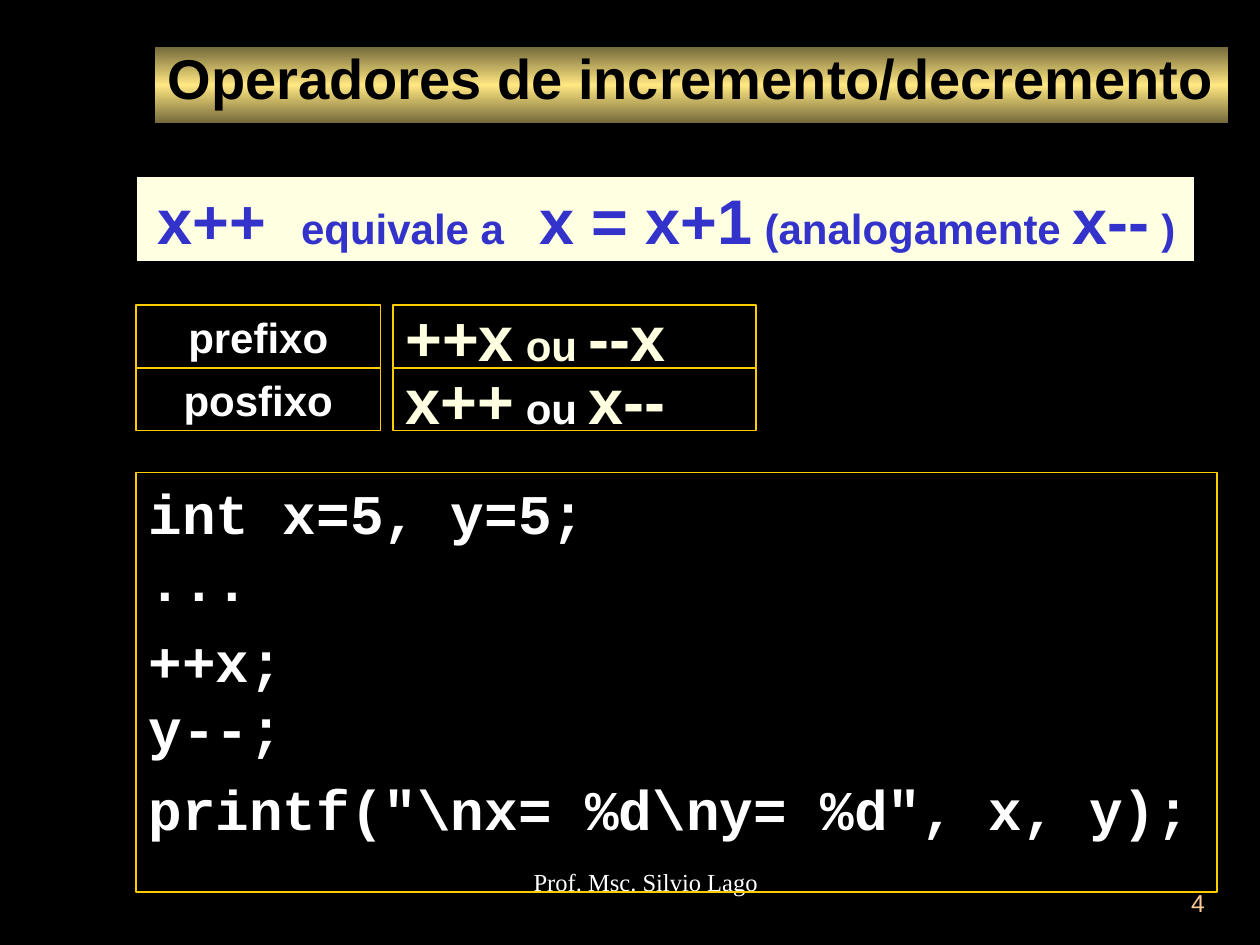
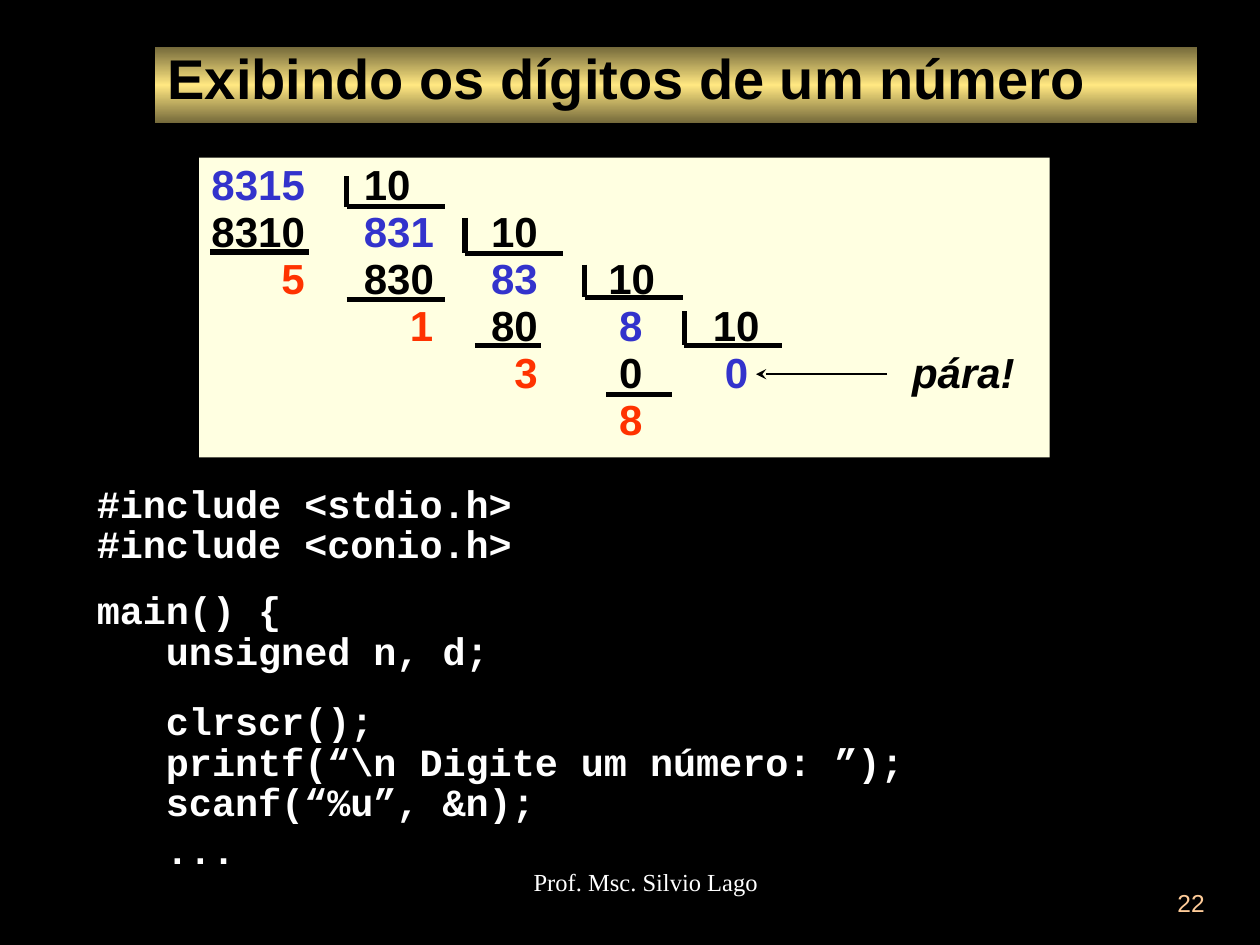
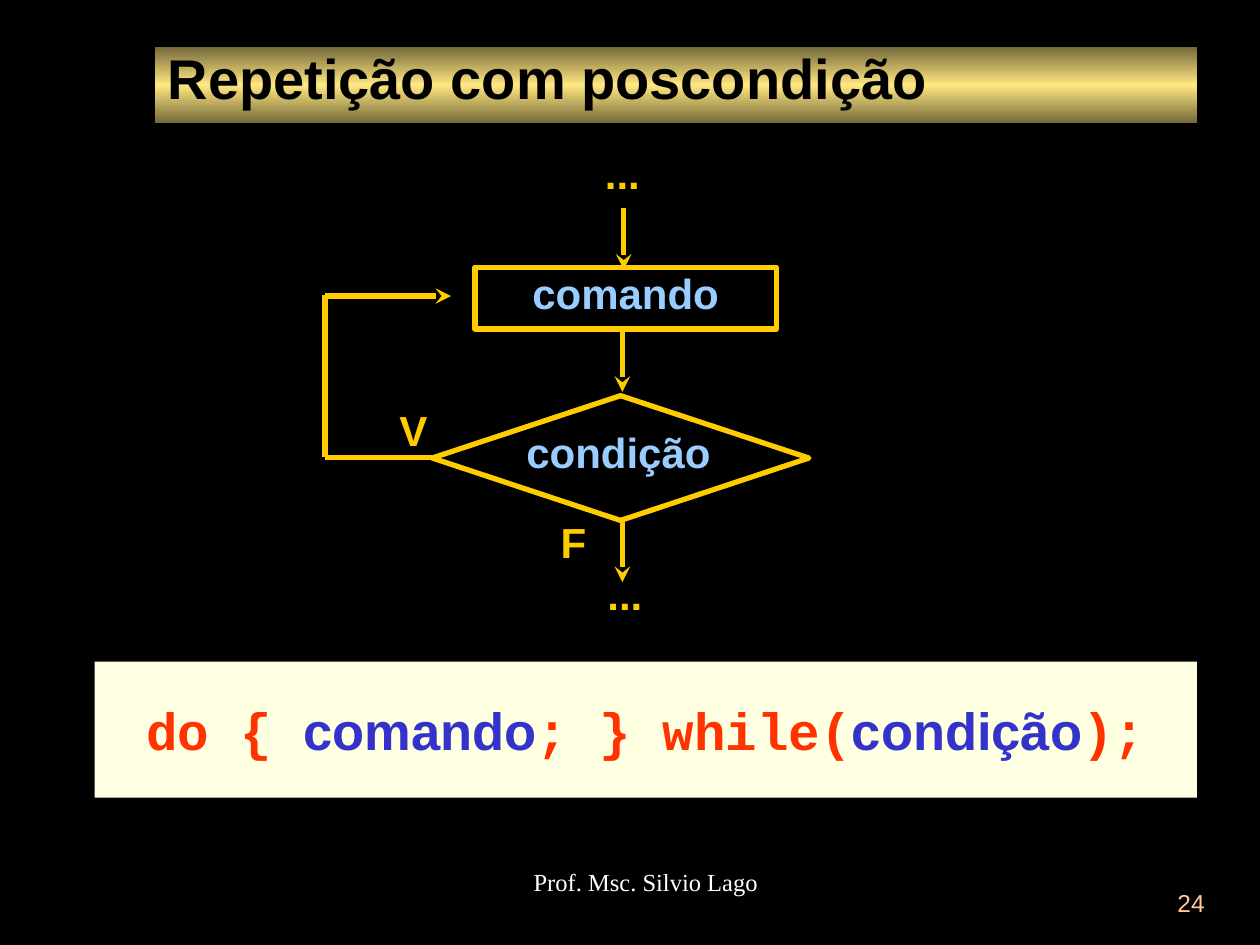
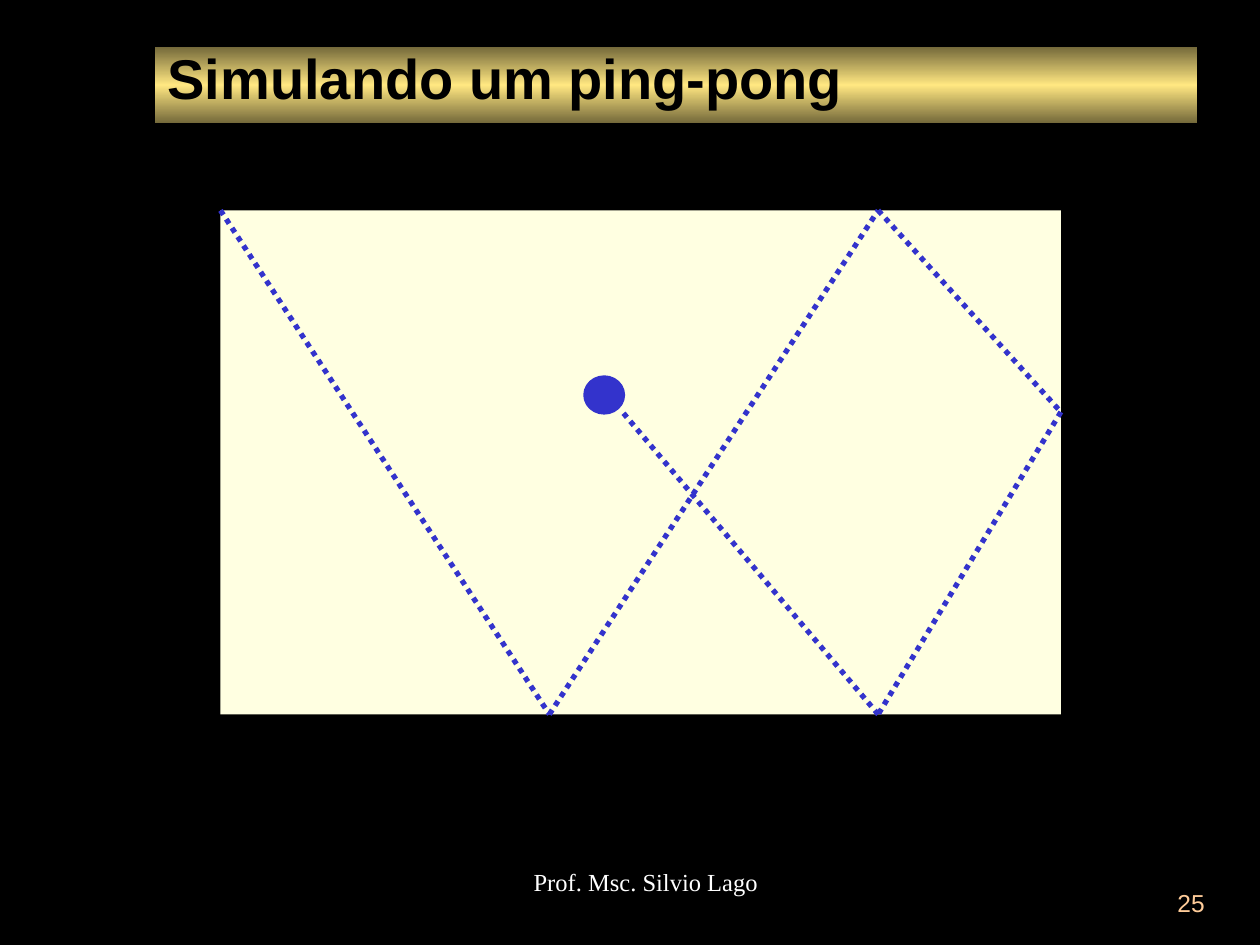
from collections import namedtuple
from copy import deepcopy
from itertools import pairwise

from lxml import etree
from pptx import Presentation
from pptx import util as u
from pptx.dml.color import RGBColor
from pptx.enum import dml, shapes, text
from pptx.oxml import ns

BLACK, WHITE, CREAM = "000000", "FFFFFF", "FFFFE1"
BLUE, RED, GOLD, SKY, PEACH = "3333CC", "FF3300", "FFCC00", "99CCFF", "FFCC99"
BAND = [(0, "73683A"), (0.5, "FFE781"), (1, "73683A")]
ARIAL, COURIER, TIMES = "Arial", "Courier New", "Times New Roman"
LEFT, CENTER, RIGHT = text.PP_ALIGN.LEFT, text.PP_ALIGN.CENTER, text.PP_ALIGN.RIGHT
TOP, MIDDLE = text.MSO_ANCHOR.TOP, text.MSO_ANCHOR.MIDDLE
SHAPE = shapes.MSO_SHAPE
INSETS = (0.1, 0.05, 0.1, 0.05)
NO_INSETS = (0, 0, 0, 0)

Run = namedtuple("Run", "text size color font bold italic",
                 defaults=(24, WHITE, ARIAL, True, False))
Para = namedtuple("Para", "runs align spacing before tabs",
                  defaults=(LEFT, None, 0, ()))


def rgb(color):
    return RGBColor.from_string(color)


def inches(*values):
    return [u.Inches(v) for v in values]


def add_tabs(p, tabs):
    tab_list = etree.SubElement(p._p.get_or_add_pPr(), ns.qn("a:tabLst"))
    for align, position in tabs:
        etree.SubElement(tab_list, ns.qn("a:tab"),
                         pos=str(u.Inches(position)), algn=align)


def write(tf, paras, insets=INSETS, anchor=TOP):
    tf.auto_size = text.MSO_AUTO_SIZE.NONE
    tf.word_wrap = True
    tf.vertical_anchor = anchor
    tf.margin_left, tf.margin_top, tf.margin_right, tf.margin_bottom = inches(*insets)
    for i, para in enumerate(paras):
        p = tf.paragraphs[0] if i == 0 else tf.add_paragraph()
        if para.tabs:
            add_tabs(p, para.tabs)
        p.alignment = para.align
        if para.spacing:
            p.line_spacing = para.spacing
        p.space_before = u.Pt(para.before if i else 0)
        for run in para.runs:
            r = p.add_run()
            r.text = run.text
            r.font.size = u.Pt(run.size)
            r.font.name = run.font
            r.font.bold = run.bold
            r.font.italic = run.italic
            r.font.color.rgb = rgb(run.color)


def add_box(s, box, fill=None, line=None, width=0.75, kind=SHAPE.RECTANGLE):
    sp = s.shapes.add_shape(kind, *inches(*box))
    sp.shadow.inherit = False
    if fill:
        sp.fill.solid()
        sp.fill.fore_color.rgb = rgb(fill)
    else:
        sp.fill.background()
    if line:
        sp.line.color.rgb = rgb(line)
        sp.line.width = u.Pt(width)
    else:
        sp.line.fill.background()
    return sp


def add_label(s, box, run, align=LEFT, insets=NO_INSETS):
    sp = s.shapes.add_textbox(*inches(*box))
    write(sp.text_frame, [Para([run], align)], insets)


def add_line(s, start, end, color, width=3, arrow=False, dash=None):
    sp = s.shapes.add_connector(shapes.MSO_CONNECTOR.STRAIGHT, *inches(*start, *end))
    sp.line.color.rgb = rgb(color)
    sp.line.width = u.Pt(width)
    if dash:
        sp.line.dash_style = dash
    if arrow:
        etree.SubElement(sp.line._get_or_add_ln(), ns.qn("a:tailEnd"), type="stealth")
    etree.SubElement(sp._element.spPr, ns.qn("a:effectLst"))


def add_title(s, title, width):
    sp = s.shapes.title
    sp.left, sp.top, sp.width, sp.height = inches(1.23, 0.37, width, 0.61)
    sp.fill.gradient()
    sp.fill.gradient_angle = 270
    stops = sp._element.spPr.find(".//" + ns.qn("a:gsLst"))
    stops.append(deepcopy(stops[-1]))
    for stop, (position, color) in zip(sp.fill.gradient_stops, BAND):
        stop.position = position
        stop.color.rgb = rgb(color)
    write(sp.text_frame, [Para([Run(title, 32, BLACK)])], (0.1, 0, 0.1, 0.13), MIDDLE)


def add_slide(prs, title, number, title_width=8.27):
    s = prs.slides.add_slide(prs.slide_layouts[5])
    add_title(s, title, title_width)
    add_label(s, (3.42, 6.83, 3.17, 0.5),
              Run("Prof. Msc. Silvio Lago", 14, WHITE, TIMES, False),
              CENTER, (0.34, 0.05, 0.1, 0.05))
    add_label(s, (7.58, 7, 2.08, 0.5), Run(str(number), 14, PEACH, ARIAL, False),
              RIGHT, INSETS)
    return s


def code(lines, size):
    return [Para([Run(line, size, WHITE, COURIER)], LEFT, spacing, before)
            for line, spacing, before in lines]


def equivalence(s, box):
    sp = add_box(s, box, CREAM, BLACK)
    runs = [Run("x++", 36, BLUE), Run("\tequivale a\t", 24, BLUE),
            Run("x = x+1", 36, BLUE), Run(" (analogamente ", 24, BLUE),
            Run("x--", 36, BLUE), Run(" )", 24, BLUE)]
    write(sp.text_frame, [Para(runs, tabs=[("l", 1.14), ("l", 3.03)])],
          (0.17, 0.05, 0, 0.05), MIDDLE)


def notation_grid(s, left, top):
    row_height = 0.5
    rows = [("prefixo", "++x", "--x", CREAM), ("posfixo", "x++", "x--", WHITE)]
    for i, (name, first, second, joiner) in enumerate(rows):
        y = top + i * row_height
        cells = [(left, 1.94, Para([Run(name)], CENTER)),
                 (left + 2.04, 2.88, Para([Run(first, 36, CREAM), Run(" ou ", 24, joiner),
                                           Run(second, 36, CREAM)]))]
        for x, width, para in cells:
            sp = add_box(s, (x, y, width, row_height), line=GOLD)
            write(sp.text_frame, [para], anchor=MIDDLE)


def operators_slide(prs):
    s = add_slide(prs, "Operadores de incremento/decremento", 4, 8.52)
    notation_grid(s, 1.08, 2.42)
    equivalence(s, (1.08, 1.4, 8.4, 0.68))
    listing = add_box(s, (1.08, 3.75, 8.58, 3.33), line=GOLD)
    write(listing.text_frame, code([
        ("int x=5, y=5;", None, 0),
        ("...", None, 0),
        ("++x;", 1.2, 0),
        ("y--;", None, 0),
        (r'printf("\nx= %d\ny= %d", x, y);', 1.2, 0),
    ], 32))


def division(s, box):
    left, top = box[:2]
    units, quotient, tens, ones = ("r", 0.74), ("l", 1.21), ("r", 2.59), ("r", 3.42)
    rows = [
        [(units, "8315", BLUE), (quotient, "10", BLACK)],
        [(units, "8310", BLACK), (quotient, "831", BLUE), (tens, "10", BLACK)],
        [(units, "5", RED), (quotient, "830", BLACK), (tens, "83", BLUE),
         (("r", 3.52), "10", BLACK)],
        [(("r", 1.76), "1", RED), (tens, "80", BLACK), (ones, "8", BLUE),
         (("r", 4.35), "10", BLACK)],
        [(tens, "3", RED), (ones, "0", BLACK), (("r", 4.26), "0", BLUE),
         (("l", 5.56), "pára!", BLACK)],
        [(ones, "8", RED)],
    ]
    paras = [Para([Run("\t" + value, 24, color, italic=value == "pára!")
                   for _, value, color in row],
                  spacing=0.9, before=1, tabs=[tab for tab, _, _ in row])
             for row in rows]
    write(add_box(s, box, CREAM).text_frame, paras)

    def rule(x1, y1, x2, y2, **style):
        add_line(s, (left + x1, top + y1), (left + x2, top + y2), BLACK, **style)

    for x, y1, y2 in [(1.17, 0.15, 0.39), (2.11, 0.48, 0.76),
                      (3.06, 0.85, 1.11), (3.85, 1.22, 1.49)]:
        rule(x, y1, x, y2)
        rule(x, y2, x + 0.78, y2)
    for x, y, width in [(0.09, 0.75, 0.78), (1.17, 1.13, 0.78),
                        (2.19, 1.49, 0.52), (3.23, 1.88, 0.52)]:
        rule(x, y, x + width, y)
    rule(5.46, 1.72, 4.42, 1.72, width=1, arrow=True)


def digits_slide(prs):
    s = add_slide(prs, "Exibindo os dígitos de um número", 22)
    listing = s.shapes.add_textbox(*inches(0.67, 3.83, 8.83, 3.08))
    write(listing.text_frame, code([
        ("#include <stdio.h>", 0.8, 0),
        ("#include <conio.h>", 0.8, 2),
        ("main() {", 1.2, 6),
        ("   unsigned n, d;", 0.8, 2),
        ("   clrscr();", 1.3, 6),
        (r"   printf(“\n Digite um número: ”);", 0.8, 2),
        ("   scanf(“%u”, &n);", 0.8, 2),
        ("   ...", 0.8, 6),
    ], 22))
    division(s, (1.58, 1.25, 6.75, 2.38))


def flowchart(s, left, top):
    def line(x1, y1, x2, y2, arrow=False):
        add_line(s, (left + x1, top + y1), (left + x2, top + y2), GOLD, arrow=arrow)

    def step(label, x, y, width, height, kind, align):
        sp = add_box(s, (left + x, top + y, width, height), None, GOLD, 3, kind)
        write(sp.text_frame, [Para([Run(label, 24, SKY)], align)], NO_INSETS)

    for label, x, y, align in [("F", 1.87, 2.93, LEFT), ("V", 0.59, 2.04, LEFT),
                               ("...", 1.93, 3.34, CENTER), ("...", 1.91, 0, CENTER)]:
        add_label(s, (left + x, top + y, 0.9, 0.49), Run(label, 24, GOLD), align)
    line(2.36, 1.44, 2.36, 1.94, True)
    step("condição", 0.85, 1.97, 2.99, 0.99, SHAPE.FLOWCHART_DECISION, LEFT)
    line(2.37, 0.48, 2.37, 0.97, True)
    step("comando", 1.19, 0.95, 2.39, 0.49, SHAPE.FLOWCHART_PROCESS, CENTER)
    line(0.9, 2.46, 0, 2.46)
    line(0, 2.46, 0, 1.17)
    line(0, 1.18, 1, 1.18, True)
    line(2.36, 2.96, 2.36, 3.45, True)


def loop_slide(prs):
    s = add_slide(prs, "Repetição com poscondição", 24)
    syntax = add_box(s, (0.75, 5.25, 8.75, 1.08), CREAM)
    runs = [Run("do { ", 30, RED, COURIER), Run("comando", 30, BLUE),
            Run("; } while(", 30, RED, COURIER), Run("condição", 30, BLUE),
            Run(");", 30, RED, COURIER)]
    write(syntax.text_frame, [Para(runs, CENTER)], anchor=MIDDLE)
    flowchart(s, 2.58, 1.17)


def court(s, box):
    left, top, width, height = box
    add_box(s, box, CREAM)
    bounces = [(0, 0), (2.61, height), (5.22, 0), (width, 1.6), (5.22, height), (3.19, 1.6)]
    track = [(left + x, top + y) for x, y in bounces]
    for start, end in pairwise(track):
        add_line(s, start, end, BLUE, dash=dml.MSO_LINE.ROUND_DOT)
    add_box(s, (left + 2.9, top + 1.33, 0.29, 0.27), BLUE, BLUE, 3, SHAPE.OVAL)


def ping_pong_slide(prs):
    s = add_slide(prs, "Simulando um ping-pong", 25)
    court(s, (1.75, 1.67, 6.67, 4))


def main():
    prs = Presentation()
    prs.slide_width, prs.slide_height = inches(10, 7.5)
    background = prs.slide_master.background.fill
    background.solid()
    background.fore_color.rgb = rgb(BLACK)
    operators_slide(prs)
    digits_slide(prs)
    loop_slide(prs)
    ping_pong_slide(prs)
    prs.save("out.pptx")


if __name__ == "__main__":
    main()
